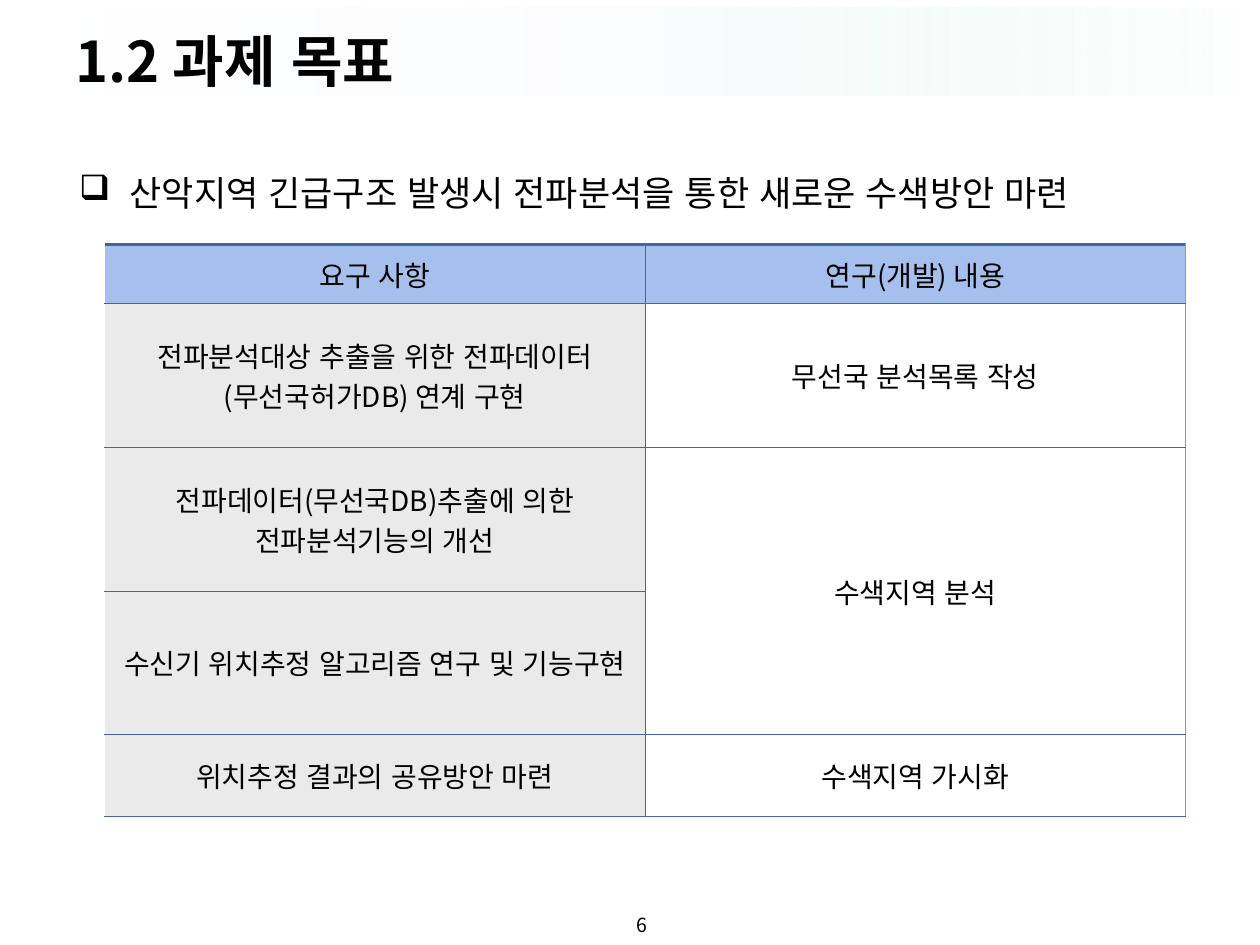
from pptx import Presentation
from pptx.dml.color import RGBColor
from pptx.enum.lang import MSO_LANGUAGE_ID
from pptx.enum.shapes import MSO_SHAPE
from pptx.enum.text import MSO_ANCHOR, PP_ALIGN
from pptx.oxml import parse_xml
from pptx.oxml.ns import nsdecls, qn
from pptx.util import Inches, Pt

RECT = MSO_SHAPE.RECTANGLE
MIDDLE, TOP = MSO_ANCHOR.MIDDLE, MSO_ANCHOR.TOP
LEFT, CENTER = PP_ALIGN.LEFT, PP_ALIGN.CENTER
KOREAN = MSO_LANGUAGE_ID.KOREAN

BLACK = RGBColor(0x00, 0x00, 0x00)
WHITE = RGBColor(0xFF, 0xFF, 0xFF)
MIST = RGBColor(0xFB, 0xFC, 0xFE)
MINT = RGBColor(0xDE, 0xF9, 0xEC)
SKY = RGBColor(0xA5, 0xC0, 0xED)
PALE = RGBColor(0xEA, 0xEA, 0xEA)
NAVY = RGBColor(0x46, 0x63, 0xA4)
GRAY = RGBColor(0x99, 0x99, 0x99)

HEAD = ("요구 사항", "연구(개발) 내용")
ROWS = [
    ("전파분석대상 추출을 위한 전파데이터(무선국허가DB) 연계 구현", "무선국 분석목록 작성"),
    ("전파데이터(무선국DB)추출에 의한 전파분석기능의 개선", "수색지역 분석"),
    ("수신기 위치추정 알고리즘 연구 및 기능구현", ""),
    ("위치추정 결과의 공유방안 마련", "수색지역 가시화"),
]
HEIGHTS = (0.47, 1.14, 1.14, 1.14, 0.65)


def element(tag, inner="", attrs=""):
    return parse_xml(f'<a:{tag} {nsdecls("a")} {attrs}>{inner}</a:{tag}>')


class Deck:
    font = "Noto Sans CJK KR"

    def __init__(self):
        self.prs = Presentation()
        self.prs.slide_width = Inches(10)
        self.prs.slide_height = Inches(7.5)
        self.slide = self.prs.slides.add_slide(self.prs.slide_layouts[6])

    def run(self, para, text, size, bold=False, align=LEFT):
        para.alignment = align
        run = para.add_run()
        run.text = text
        font = run.font
        font.name, font.size, font.bold = self.font, Pt(size), bold
        font.color.rgb = BLACK
        font.language_id = KOREAN
        latin = run._r.rPr.find(qn("a:latin"))
        latin.addnext(element("ea", attrs=f'typeface="{self.font}"'))

    def band(self, x, y, w, h, stops):
        """Draw a rectangle with (position, colour, opacity) gradient stops."""
        shape = self.slide.shapes.add_shape(
            RECT, Inches(x), Inches(y), Inches(w), Inches(h))
        shape.shadow.inherit = False
        shape.line.fill.background()
        shape.fill.gradient()
        shape.fill.gradient_angle = 0
        grad = shape._element.spPr.find(qn("a:gradFill"))
        grad.replace(grad.find(qn("a:gsLst")), element("gsLst", "".join(
            f'<a:gs pos="{pos * 1000}"><a:srgbClr val="{color}">'
            f'<a:alpha val="{alpha * 1000}"/></a:srgbClr></a:gs>'
            for pos, color, alpha in stops)))

    def text(self, x, y, w, h, text, size, bold=False, align=LEFT,
             anchor=MIDDLE, bullet=None):
        box = self.slide.shapes.add_textbox(
            Inches(x), Inches(y), Inches(w), Inches(h))
        frame = box.text_frame
        frame.word_wrap = True
        frame.vertical_anchor = anchor
        para = frame.paragraphs[0]
        if bullet:
            props = para._p.get_or_add_pPr()
            props.set("marL", str(Inches(0.59)))
            props.set("indent", str(Inches(-0.4)))
            props.append(element("buChar", attrs=f'char="{bullet}"'))
        self.run(para, text, size, bold, align)

    def cell(self, cell, text, fill, edges, after=0):
        """Fill a table cell; edges maps L, R, T, B to (colour, points)."""
        cell.fill.solid()
        cell.fill.fore_color.rgb = fill
        cell.vertical_anchor = MIDDLE
        cell.margin_left = cell.margin_right = Inches(0.04)
        cell.margin_top = cell.margin_bottom = Inches(0.04)
        props = cell._tc.tcPr
        for spot, side in enumerate(side for side in "LRTB" if side in edges):
            color, width = edges[side]
            props.insert(spot, element(
                f"ln{side}",
                f'<a:solidFill><a:srgbClr val="{color}"/></a:solidFill>',
                f'w="{Pt(width)}"'))
        if text:
            para = cell.text_frame.paragraphs[0]
            para.space_after = Pt(after)
            self.run(para, text, 16, align=CENTER)

    def table(self, x, y, width, heights, rows):
        grid = self.slide.shapes.add_table(
            len(rows), 2, Inches(x), Inches(y), Inches(width),
            Inches(sum(heights))).table
        grid.first_row = grid.horz_banding = False
        for col in grid.columns:
            col.width = Inches(width / 2)
        thin = (NAVY, 0.25)
        sides = ({"R": thin}, {"L": thin, "R": (GRAY, 1)})
        for r, (row, height) in enumerate(zip(rows, heights)):
            grid.rows[r].height = Inches(height)
            top = thin if r else (NAVY, 1.5)
            fills = (PALE, WHITE) if r else (SKY, SKY)
            for c, text in enumerate(row):
                self.cell(grid.cell(r, c), text, fills[c],
                          {**sides[c], "T": top, "B": thin}, 0 if r else 7)
        return grid


def main():
    deck = Deck()
    deck.band(0, 0.06, 10, 0.7, [(0, WHITE, 78), (50, MIST, 100), (100, MINT, 0)])
    deck.text(0.5, 0.13, 9, 0.69, "1.2 과제 목표", 32, bold=True)
    deck.text(0.34, 1.31, 9.31, 5.75,
              "산악지역 긴급구조 발생시 전파분석을 통한 새로운 수색방안 마련",
              20, anchor=TOP, bullet="❑")
    deck.text(3.93, 7.14, 2.33, 0.4, "6", 11.1, align=CENTER)
    grid = deck.table(0.83, 1.94, 8.58, HEIGHTS, [HEAD, *ROWS])
    grid.cell(2, 1).merge(grid.cell(3, 1))
    deck.prs.save("out.pptx")


if __name__ == "__main__":
    main()
